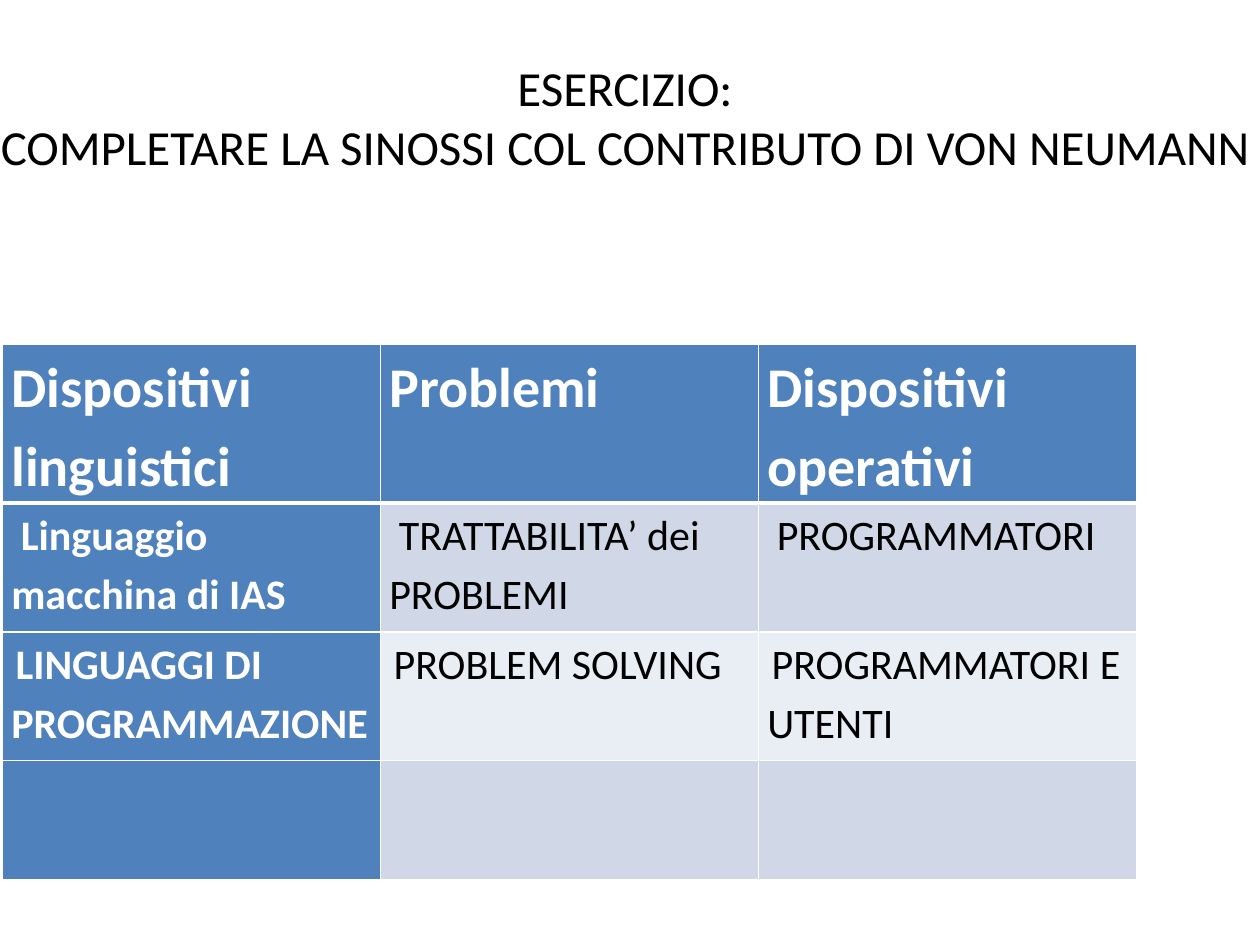
from dataclasses import dataclass

import pptx
import pptx.dml.color
import pptx.enum.text
import pptx.oxml.ns
import pptx.util
from lxml import etree

Inches = pptx.util.Inches
Pt = pptx.util.Pt


@dataclass(frozen=True)
class Theme:
    font: str = "Calibri"
    black: str = "000000"
    white: str = "FFFFFF"
    accent: str = "4F81BD"
    bands: tuple = ("D0D8E8", "E9EDF4")
    title_size: int = 28
    header_size: int = 32
    body_size: int = 24
    indent_size: int = 11
    thin_border: int = 1
    thick_border: int = 3


THEME = Theme()

TITLE_LINES = ("ESERCIZIO:", "COMPLETARE LA SINOSSI COL CONTRIBUTO DI VON NEUMANN")
ROW_HEIGHTS = (1.26, 1.02, 1.02, 0.94)
SYNOPSIS = (
    (("Dispositivi linguistici",), ("Problemi",), ("Dispositivi operativi",)),
    ((" Linguaggio macchina di IAS",), (" TRATTABILITA’ dei PROBLEMI",), (" PROGRAMMATORI",)),
    (
        (" ", "LINGUAGGI DI PROGRAMMAZIONE"),
        (" ", "PROBLEM SOLVING"),
        (" ", "PROGRAMMATORI E UTENTI"),
    ),
    ((), (), ()),
)


def add_run(paragraph, text, size, color, bold=False):
    run = paragraph.add_run()
    run.text = text
    run.font.name = THEME.font
    run.font.size = Pt(size)
    run.font.bold = bold
    run.font.color.rgb = pptx.dml.color.RGBColor.from_string(color)


def add_title(slide, left, top, width, height):
    text_frame = slide.shapes.add_textbox(left, top, width, height).text_frame
    text_frame.word_wrap = True
    text_frame.vertical_anchor = pptx.enum.text.MSO_ANCHOR.MIDDLE
    paragraph = text_frame.paragraphs[0]
    paragraph.alignment = pptx.enum.text.PP_ALIGN.CENTER
    for index, line in enumerate(TITLE_LINES):
        if index:
            paragraph.add_line_break()
        add_run(paragraph, line, THEME.title_size, THEME.black)


def set_borders(cell, top, bottom):
    qn = pptx.oxml.ns.qn
    properties = cell._tc.get_or_add_tcPr()
    widths = {"lnL": THEME.thin_border, "lnR": THEME.thin_border, "lnT": top, "lnB": bottom}
    for side, width in widths.items():
        line = etree.SubElement(properties, qn(f"a:{side}"), w=str(Pt(width)))
        fill = etree.SubElement(line, qn("a:solidFill"))
        etree.SubElement(fill, qn("a:srgbClr"), val=THEME.white)


def fill_cell(cell, texts, row, column):
    emphasised = row == 0 or column == 0
    set_borders(
        cell,
        top=THEME.thick_border if row == 1 else THEME.thin_border,
        bottom=THEME.thick_border if row == 0 else THEME.thin_border,
    )
    background = THEME.accent if emphasised else THEME.bands[(row - 1) % 2]
    cell.fill.solid()
    cell.fill.fore_color.rgb = pptx.dml.color.RGBColor.from_string(background)
    cell.margin_left = cell.margin_right = Inches(0.07)
    cell.margin_top = cell.margin_bottom = 0
    paragraph = cell.text_frame.paragraphs[0]
    paragraph.line_spacing = 1.15
    color = THEME.white if emphasised else THEME.black
    main_size = THEME.header_size if row == 0 else THEME.body_size
    for index, text in enumerate(texts):
        size = main_size if index == len(texts) - 1 else THEME.indent_size
        add_run(paragraph, text, size, color, emphasised)


def add_synopsis(slide, left, top, width, height):
    column_count = len(SYNOPSIS[0])
    frame = slide.shapes.add_table(len(SYNOPSIS), column_count, left, top, width, height)
    table = frame.table
    for column in table.columns:
        column.width = width // column_count
    for row_index, row in enumerate(SYNOPSIS):
        table.rows[row_index].height = int(height * ROW_HEIGHTS[row_index] / sum(ROW_HEIGHTS))
        for column_index, texts in enumerate(row):
            fill_cell(table.cell(row_index, column_index), texts, row_index, column_index)


def main():
    presentation = pptx.Presentation()
    presentation.slide_width = Inches(10)
    presentation.slide_height = Inches(7.5)
    slide = presentation.slides.add_slide(presentation.slide_layouts[6])
    add_title(slide, Inches(-0.2), Inches(0.3), Inches(10.32), Inches(1.25))
    add_synopsis(slide, Inches(0.02), Inches(2.73), Inches(9), Inches(4.25))
    presentation.save("out.pptx")


if __name__ == "__main__":
    main()
